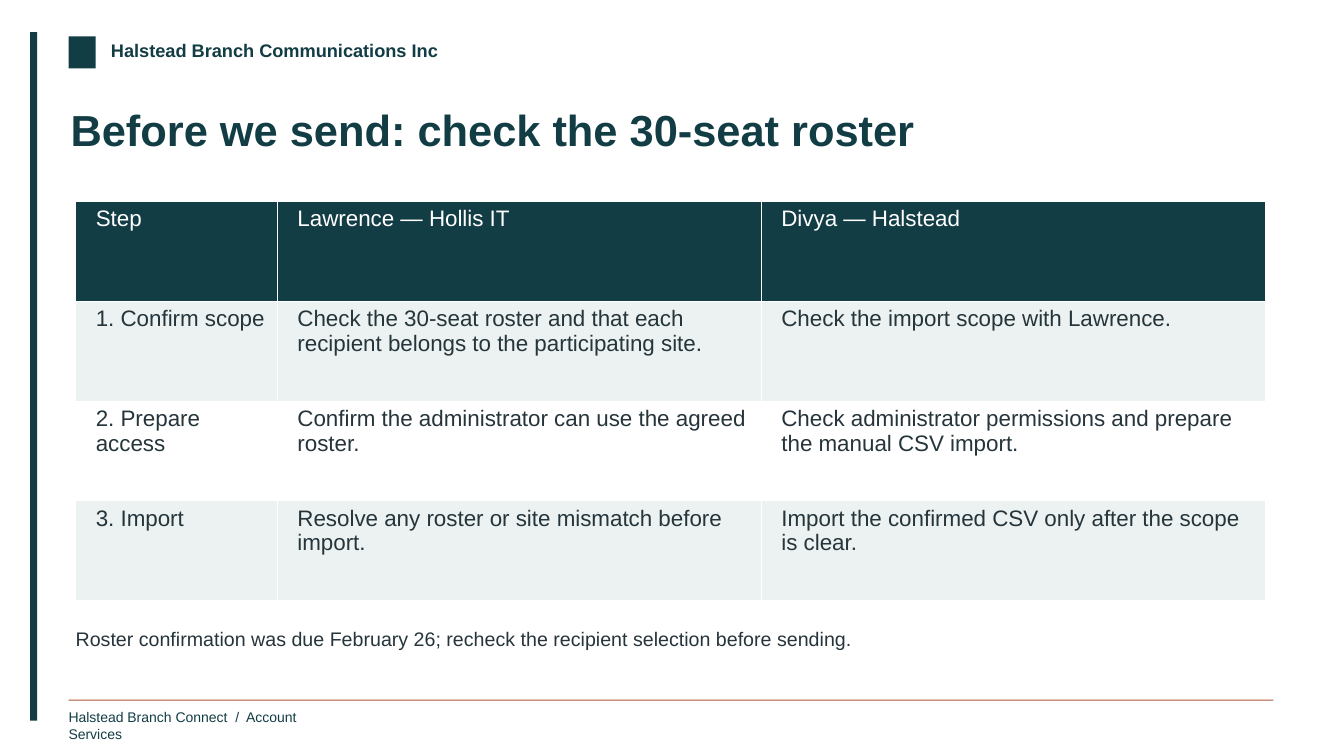
from pptx import Presentation
from pptx.dml.color import RGBColor
from pptx.enum import shapes, text
from pptx.util import Inches, Pt

TEAL = RGBColor(0x13, 0x3D, 0x45)
RUST = RGBColor(0xAF, 0x56, 0x36)
INK = RGBColor(0x26, 0x35, 0x3B)
PALE = RGBColor(0xEB, 0xF2, 0xF1)
WHITE = RGBColor(0xFF, 0xFF, 0xFF)

BARS = [
    ((0.3, 0.32, 0.07, 6.83), TEAL),
    ((0.68, 0.36, 0.27, 0.32), TEAL),
    ((0.68, 6.94, 11.95, 0.01), RUST),
]
LABELS = [
    ("Halstead Branch Communications Inc", (1.1, 0.39, 3.55, 0.27),
     dict(size=13, color=TEAL, bold=True), False),
    ("Before we send: check the 30-seat roster", (0.7, 1.02, 11.9, 0.86),
     dict(size=31, color=TEAL, bold=True), True),
    ("Roster confirmation was due February 26; recheck the recipient selection before sending.",
     (0.75, 6.22, 11.82, 0.44), dict(size=14, color=INK), True),
    ("Halstead Branch Connect  /  Account Services", (0.68, 7.03, 2.6, 0.23),
     dict(size=10, color=TEAL), False),
]
ROWS = [
    ("Step", "Lawrence — Hollis IT", "Divya — Halstead"),
    ("1. Confirm scope",
     "Check the 30-seat roster and that each recipient belongs to the participating site.",
     "Check the import scope with Lawrence."),
    ("2. Prepare access",
     "Confirm the administrator can use the agreed roster.",
     "Check administrator permissions and prepare the manual CSV import."),
    ("3. Import",
     "Resolve any roster or site mismatch before import.",
     "Import the confirmed CSV only after the scope is clear."),
]
WIDTHS = (2, 4.8, 5)
HEIGHT = 0.99


def write(frame, words, size=16, color=INK, bold=False):
    par = frame.paragraphs[0]
    run = par.add_run()
    run.text = words
    font = run.font
    font.name, font.size, font.bold = "Arial", Pt(size), bold
    font.color.rgb = color


def place(box):
    return [Inches(n) for n in box]


def main():
    deck = Presentation()
    deck.slide_width, deck.slide_height = Inches(13.33), Inches(7.5)
    slide = deck.slides.add_slide(deck.slide_layouts[6])

    for box, color in BARS:
        bar = slide.shapes.add_shape(shapes.MSO_SHAPE.RECTANGLE, *place(box))
        bar.shadow.inherit = False
        bar.fill.solid()
        bar.fill.fore_color.rgb = color
        bar.line.fill.background()

    for words, box, style, wrap in LABELS:
        frame = slide.shapes.add_textbox(*place(box)).text_frame
        frame.margin_left = frame.margin_right = 0
        frame.margin_top = frame.margin_bottom = 0
        frame.word_wrap = wrap
        frame.vertical_anchor = text.MSO_ANCHOR.TOP
        write(frame, words, **style)

    area = (0.75, 2, sum(WIDTHS), HEIGHT * len(ROWS))
    table = slide.shapes.add_table(len(ROWS), len(WIDTHS), *place(area)).table
    for col, width in zip(table.columns, WIDTHS):
        col.width = Inches(width)
    for r, row in enumerate(ROWS):
        table.rows[r].height = Inches(HEIGHT)
        fill = TEAL if r == 0 else PALE if r % 2 else WHITE
        for c, words in enumerate(row):
            cell = table.cell(r, c)
            cell.fill.solid()
            cell.fill.fore_color.rgb = fill
            cell.margin_left, cell.margin_right = Inches(0.2), Inches(0.12)
            cell.margin_top = cell.margin_bottom = Inches(0.05)
            write(cell.text_frame, words, color=INK if r else WHITE)

    deck.save("out.pptx")


if __name__ == "__main__":
    main()
